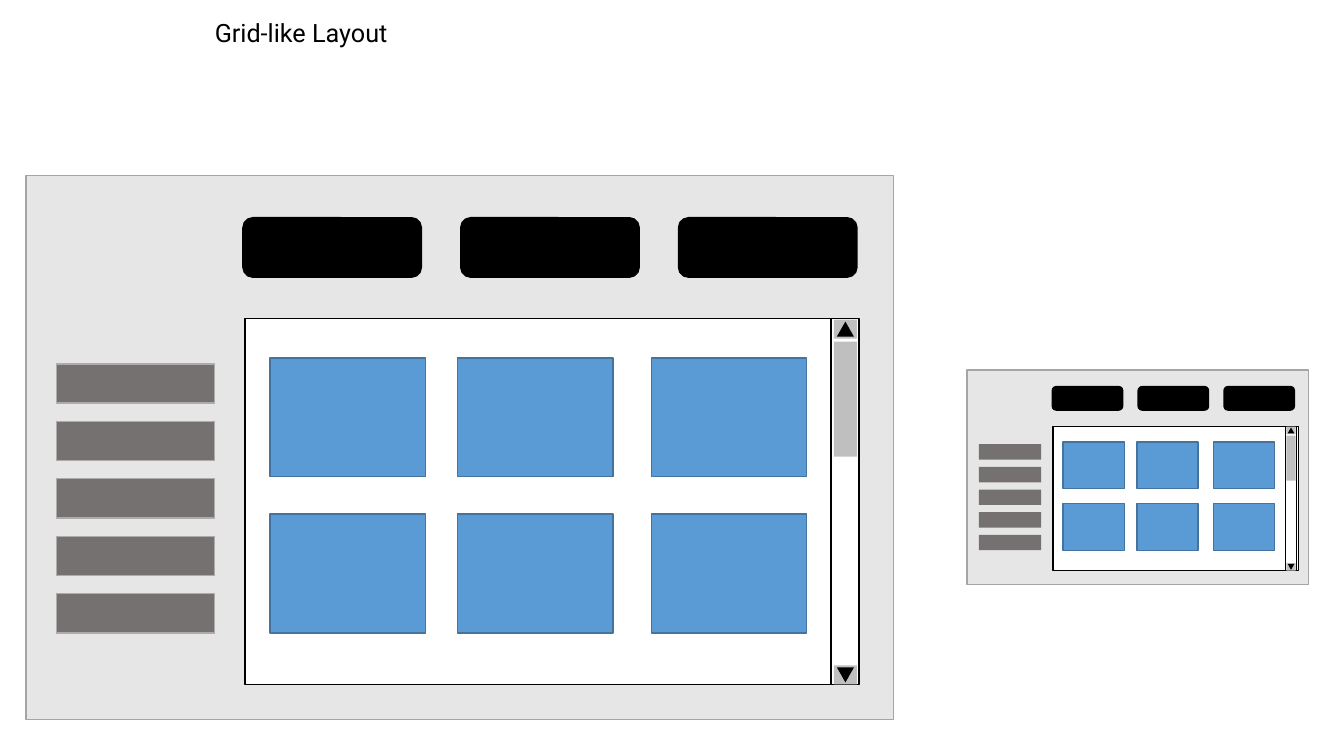
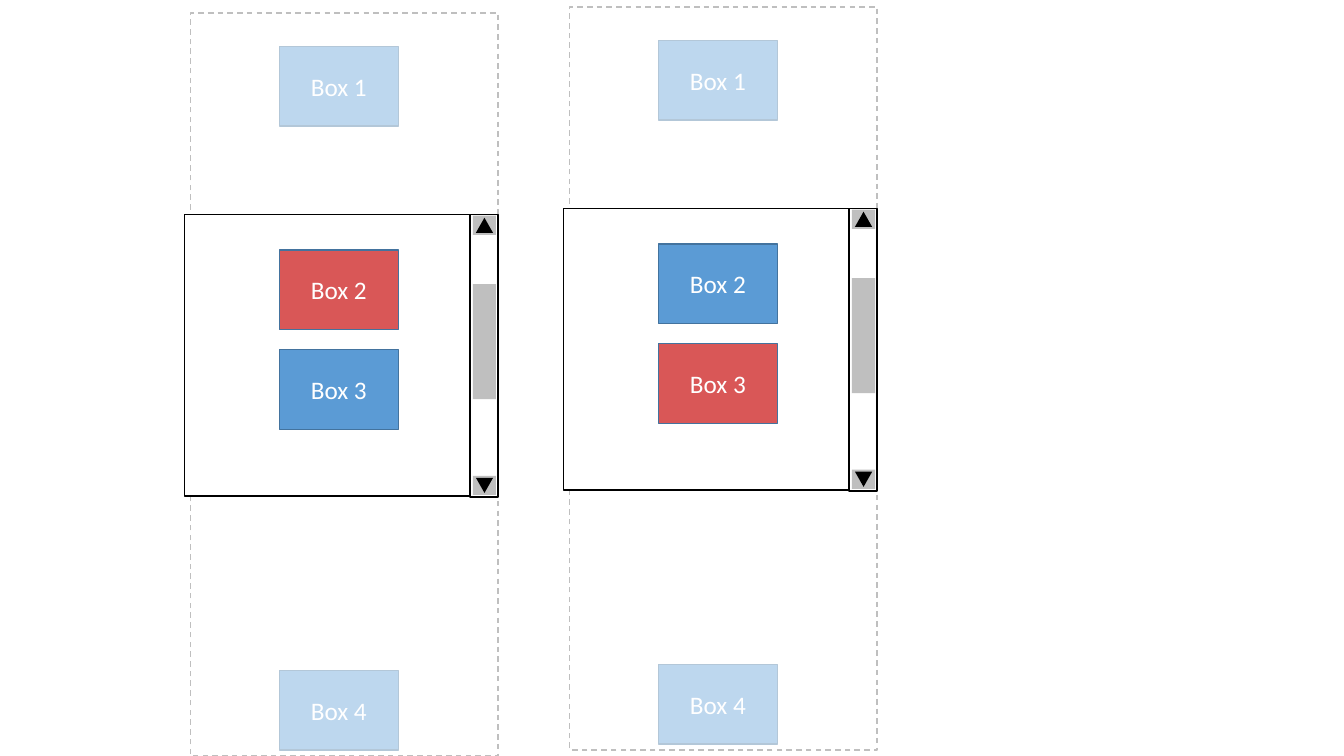
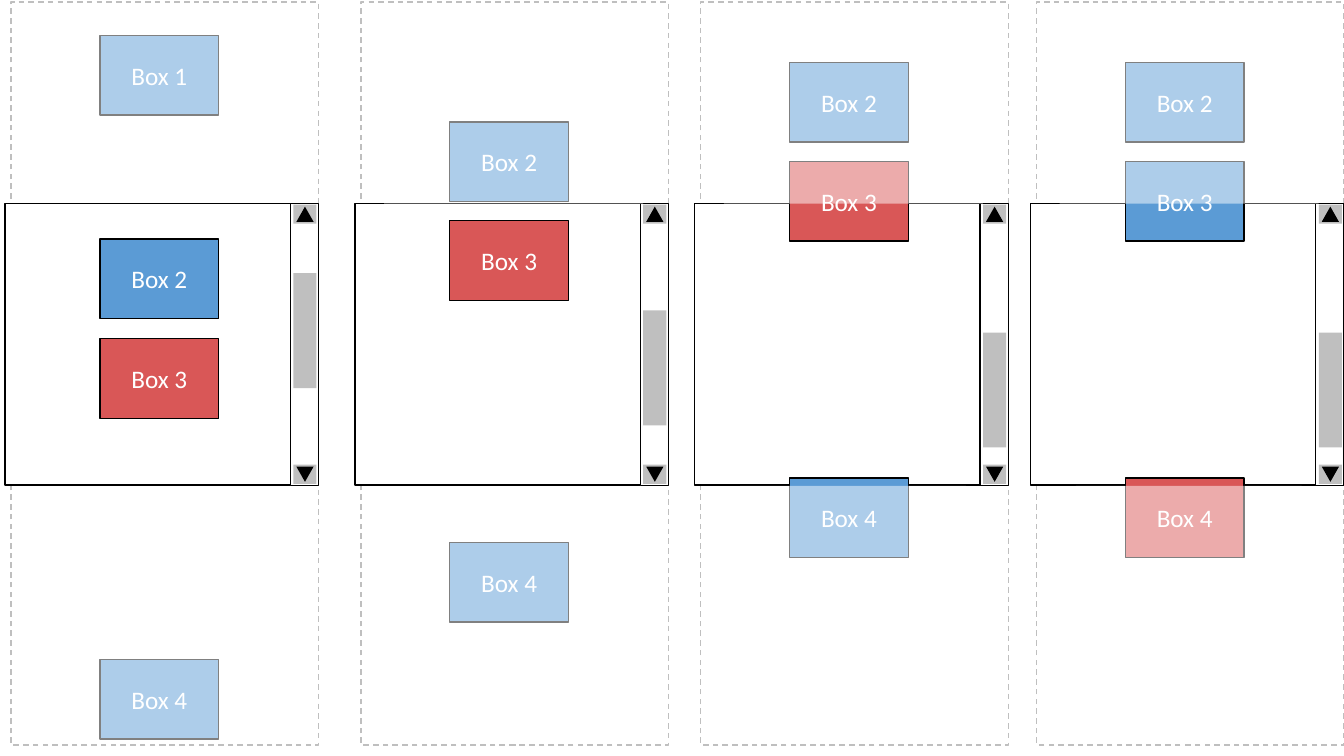
from dataclasses import dataclass
from itertools import product

from pptx import Presentation
from pptx.dml.color import RGBColor
from pptx.enum.dml import MSO_LINE
from pptx.enum.shapes import MSO_SHAPE as Preset
from pptx.enum.text import MSO_ANCHOR as Anchor, MSO_AUTO_SIZE as AutoSize, PP_ALIGN as Align
from pptx.oxml.xmlchemy import OxmlElement
from pptx.util import Inches, Pt

WHITE = RGBColor(0xFF, 0xFF, 0xFF)
BLACK = RGBColor(0x00, 0x00, 0x00)
PANEL = RGBColor(0xE7, 0xE6, 0xE6)
PANEL_EDGE = RGBColor(0xA5, 0xA5, 0xA5)
MENU = RGBColor(0x76, 0x71, 0x71)
MENU_EDGE = RGBColor(0xAF, 0xAB, 0xAB)
SILVER = RGBColor(0xBF, 0xBF, 0xBF)
BLUE = RGBColor(0x5B, 0x9B, 0xD5)
BLUE_EDGE = RGBColor(0x43, 0x73, 0x9E)
RED = RGBColor(0xD9, 0x57, 0x57)

TITLE_ONLY, BLANK = 5, 6
BOX_WIDTH, BOX_HEIGHT = 1.18, 0.79
PAGE_WIDTH, PAGE_HEIGHT = 3.05, 7.37
VIEW_TOP = 2.0


@dataclass
class Canvas:
    shapes: object
    left: float
    top: float
    scale: float = 1.0

    def within(self, left, top):
        return Canvas(self.shapes, self.left + left * self.scale,
                      self.top + top * self.scale, self.scale)

    def draw(self, left, top, width, height, fill, edge=None, preset=Preset.RECTANGLE):
        shape = self.shapes.add_shape(
            preset,
            Inches(self.left + left * self.scale), Inches(self.top + top * self.scale),
            Inches(width * self.scale), Inches(height * self.scale))
        shape.shadow.inherit = False
        shape.fill.solid()
        shape.fill.fore_color.rgb = fill
        if edge is None:
            shape.line.fill.background()
        else:
            shape.line.color.rgb = edge
            shape.line.width = Pt(1)
        return shape


@dataclass
class Scroller:
    left: float
    top: float
    thumb: float
    boxes: dict
    current: int
    veils: tuple


def write(shape, text, color, font_name, align, frame_format):
    frame = shape.text_frame
    for name, value in frame_format.items():
        setattr(frame, name, value)
    paragraph = frame.paragraphs[0]
    paragraph.alignment = align
    run = paragraph.add_run()
    run.text = text
    for name, value in {"name": font_name, "size": Pt(18), "bold": False}.items():
        setattr(run.font, name, value)
    run.font.color.rgb = color


def draw_scrollbar(canvas, height, thumb, arrow_inset):
    canvas.draw(0, 0, 0.28, height, WHITE, BLACK)
    canvas.draw(0.03, thumb, 0.23, 1.14, SILVER)
    for top, rotation in ((0.01, 0), (height - arrow_inset, 180)):
        canvas.draw(0.03, top, 0.23, 0.19, SILVER)
        arrow = canvas.draw(0.06, top + 0.02, 0.17, 0.15, BLACK,
                            preset=Preset.ISOSCELES_TRIANGLE)
        arrow.rotation = rotation


def draw_window(slide, left, top, scale, menu_edge, view_width, scrollbar_left):
    canvas = Canvas(slide.shapes.add_group_shape().shapes, left, top, scale)
    canvas.draw(0, 0, 8.6, 5.4, PANEL, PANEL_EDGE)
    canvas.draw(2.17, 1.42, view_width, 3.63, WHITE, BLACK)
    for row in range(5):
        canvas.draw(0.3, 1.87 + 0.57 * row, 1.57, 0.39, MENU, menu_edge)
    for tile_top, tile_left in product((1.81, 3.36), (2.42, 4.28, 6.2)):
        canvas.draw(tile_left, tile_top, 1.54, 1.18, BLUE, BLUE_EDGE)
    for column in range(3):
        canvas.draw(2.15 + 2.16 * column, 0.42, 1.77, 0.59, BLACK, BLACK,
                    Preset.ROUNDED_RECTANGLE)
    draw_scrollbar(canvas.within(scrollbar_left, 1.42), 3.63, 0.23, 0.19)


def draw_veil(canvas, left, top, width, height, opacity):
    veil = canvas.draw(left, top, width, height, WHITE)
    alpha = OxmlElement("a:alpha")
    alpha.set("val", str(opacity * 1000))
    veil.fill._xPr.find(".//" + "{http://schemas.openxmlformats.org/drawingml/2006/main}srgbClr").append(alpha)


def draw_scroller(slide, scroller, box_edge, opacity):
    canvas = Canvas(slide.shapes.add_group_shape().shapes, scroller.left, scroller.top)
    page = canvas.draw(0, 0, PAGE_WIDTH, PAGE_HEIGHT, WHITE, SILVER)
    page.line.dash_style = MSO_LINE.DASH
    canvas.draw(-0.06, VIEW_TOP, 3.07, 2.79, WHITE, BLACK)
    for number, top in scroller.boxes.items():
        fill = RED if number == scroller.current else BLUE
        box = canvas.draw(0.88, top, BOX_WIDTH, BOX_HEIGHT, fill, box_edge)
        write(box, f"Box {number}", WHITE, "Calibri", Align.CENTER,
              {"vertical_anchor": Anchor.MIDDLE, "word_wrap": True})
    draw_scrollbar(canvas.within(2.77, VIEW_TOP), 2.8, scroller.thumb, 0.21)
    for veil, height in zip(scroller.veils, (1.7, 1.21)):
        draw_veil(canvas, *veil, height, opacity)


def add_grid_slide(presentation):
    slide = presentation.slides.add_slide(presentation.slide_layouts[TITLE_ONLY])
    title = slide.shapes.title
    place = {"left": 2.03, "top": 0.12, "width": 1.94, "height": 0.4}
    for name, value in place.items():
        setattr(title, name, Inches(value))
    write(title, "Grid-like Layout", BLACK, "Roboto", Align.LEFT,
          {"vertical_anchor": Anchor.TOP, "word_wrap": False,
           "auto_size": AutoSize.SHAPE_TO_FIT_TEXT})
    draw_window(slide, 0.26, 1.74, 1, MENU_EDGE, 6.06, 7.98)
    draw_window(slide, 9.59, 3.67, 3.39 / 8.6, None, 6.17, 8.01)


def add_scroller_slide(presentation, scrollers, box_edge, opacity):
    slide = presentation.slides.add_slide(presentation.slide_layouts[BLANK])
    for scroller in scrollers:
        draw_scroller(slide, scroller, box_edge, opacity)


def main():
    presentation = Presentation()
    presentation.slide_width = Inches(13.33)
    presentation.slide_height = Inches(7.5)

    start = {1: 0.33, 2: 2.35, 3: 3.34, 4: 6.52}
    middle = {2: 1.19, 3: 2.17, 4: 5.36}
    end = {2: 0.6, 3: 1.58, 4: 4.72}
    start_veils = ((0.14, 0.05, 2.57), (0.24, 6.12, 2.57))
    middle_veils = ((0.23, 0.3, 2.57), (0.27, 5.21, 2.57))
    end_veils = ((0.23, 0.3, 2.57), (0.39, 4.8, 2.24))

    add_grid_slide(presentation)
    add_scroller_slide(presentation, (
        Scroller(1.89, 0.13, 0.69, start, 2, start_veils),
        Scroller(5.65, 0.07, 0.69, start, 3, start_veils),
    ), BLUE_EDGE, 60)
    add_scroller_slide(presentation, (
        Scroller(0.11, 0.02, 0.69, start, 3, start_veils),
        Scroller(3.58, 0.02, 1.06, middle, 3, middle_veils),
        Scroller(6.95, 0.02, 1.28, end, 3, end_veils),
        Scroller(10.28, 0.02, 1.28, end, 4, end_veils),
    ), BLACK, 50)
    presentation.save("out.pptx")


if __name__ == "__main__":
    main()
